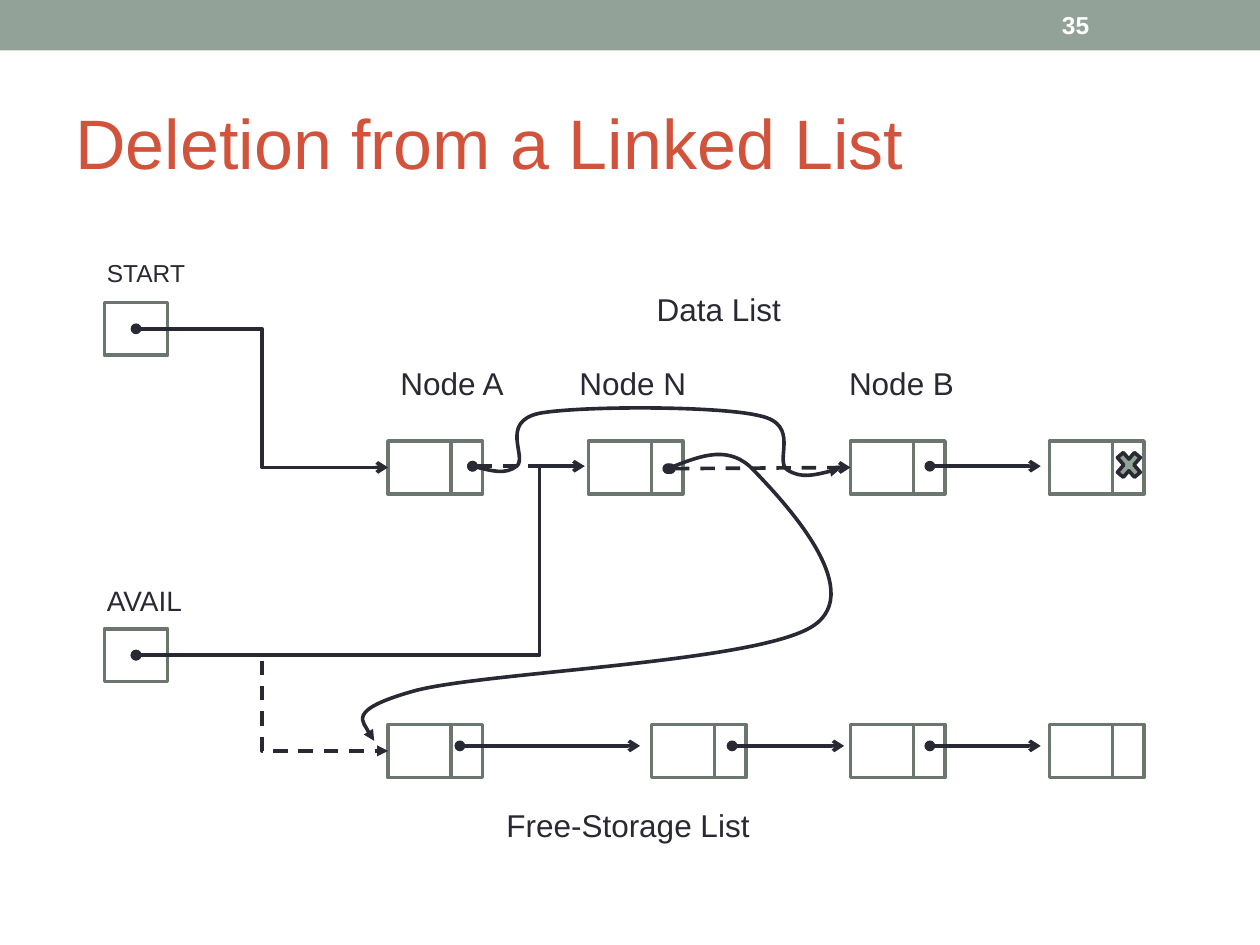
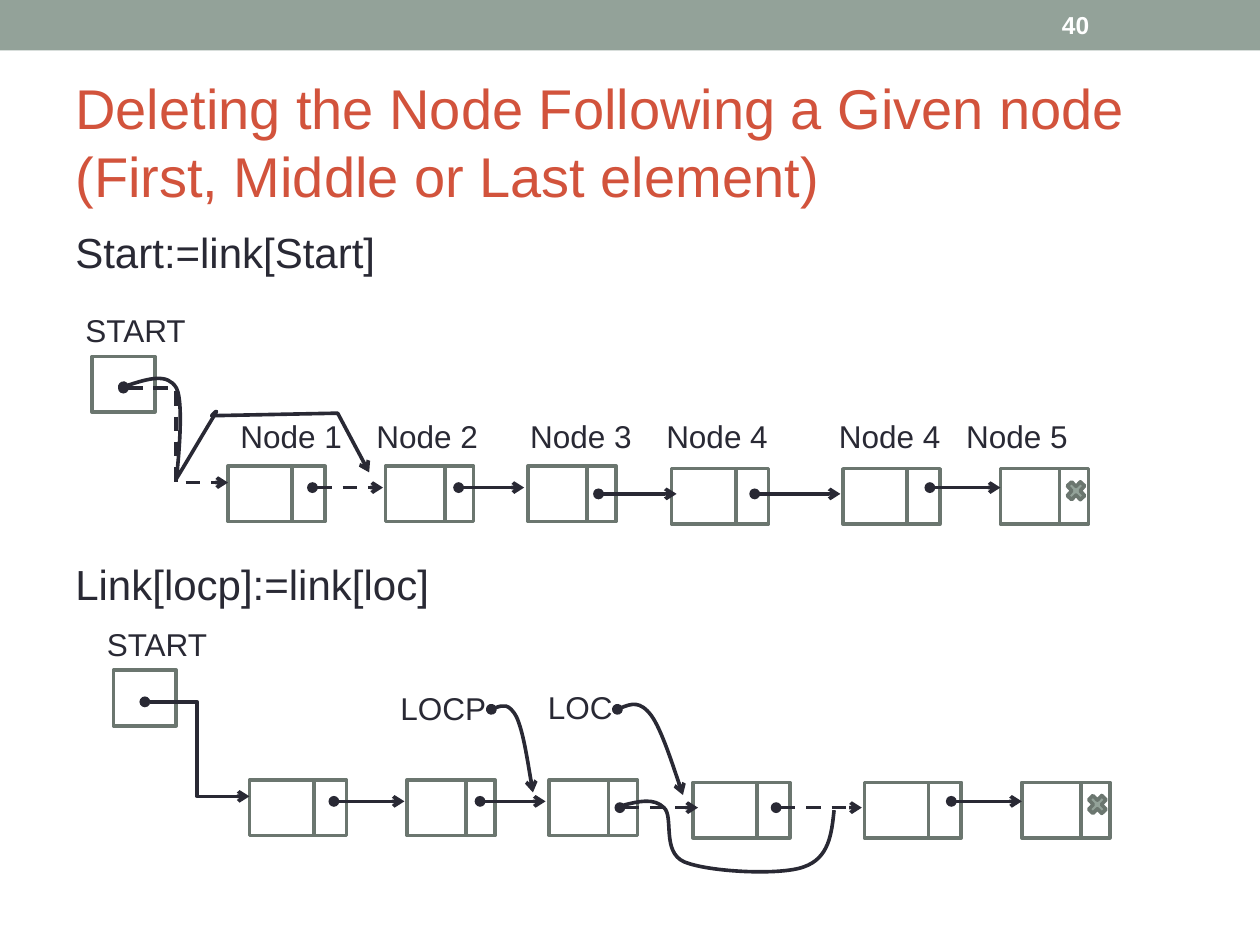
import itertools

import lxml.etree
import pptx
import pptx.dml.color
import pptx.enum.dml
import pptx.enum.shapes
import pptx.enum.text
import pptx.oxml.ns
import pptx.util

Inches = pptx.util.Inches
Pt = pptx.util.Pt
RGB = pptx.dml.color.RGBColor
SHAPE = pptx.enum.shapes.MSO_SHAPE
LINK = pptx.enum.shapes.MSO_CONNECTOR
ANCHOR = pptx.enum.text.MSO_ANCHOR
ALIGN = pptx.enum.text.PP_ALIGN
qn = pptx.oxml.ns.qn

SAGE = RGB(0x93, 0xA2, 0x99)
EDGE = RGB(0x6B, 0x76, 0x6F)
INK = RGB(0x29, 0x29, 0x34)
RUST = RGB(0xD2, 0x53, 0x3C)
WHITE = RGB(0xFF, 0xFF, 0xFF)
FONT = "Arial"
WEIGHT = Pt(2.07)


def stroke(shape, color, dash=False, head=None, tail=None):
    """Set the outline of a shape and its arrowheads."""
    shape.line.color.rgb = color
    shape.line.width = WEIGHT
    if dash:
        shape.line.dash_style = pptx.enum.dml.MSO_LINE.DASH
    ln = shape.element.spPr.get_or_add_ln()
    for tag, kind in (("a:headEnd", head), ("a:tailEnd", tail)):
        if kind:
            lxml.etree.SubElement(ln, qn(tag), type=kind)


def style(par, size, color, bold=False, tabs=()):
    """Give a paragraph its tab stops and its font."""
    if tabs:
        stops = lxml.etree.SubElement(par._p.get_or_add_pPr(), qn("a:tabLst"))
        for stop in tabs:
            lxml.etree.SubElement(stops, qn("a:tab"), pos=str(Inches(stop)), algn="l")
    for run in par.runs:
        run.font.name = FONT
        run.font.size = Pt(size)
        run.font.bold = bold
        run.font.color.rgb = color


class Area:
    """A box on a slide that places parts from its top left corner."""

    def __init__(self, slide, left=0, top=0):
        """Keep the slide and the corner."""
        self.shapes = slide.shapes
        self.left, self.top = left, top

    def spot(self, x, y):
        """Turn a place in the box into a place on the slide."""
        return Inches(self.left + x), Inches(self.top + y)

    def shape(self, kind, x, y, w, h, fill=None, edge=None):
        """Add a preset shape."""
        shape = self.shapes.add_shape(kind, *self.spot(x, y), Inches(w), Inches(h))
        shape.shadow.inherit = False
        if fill:
            shape.fill.solid()
            shape.fill.fore_color.rgb = fill
        else:
            shape.fill.background()
        if edge:
            stroke(shape, edge)
        else:
            shape.line.fill.background()
        return shape

    def cell(self, x, y, w, h):
        """Add an outlined rectangle."""
        return self.shape(SHAPE.RECTANGLE, x, y, w, h, edge=EDGE)

    def node(self, x, y, data, link, h):
        """Add a list node and return its data cell."""
        self.cell(x + data, y, link, h)
        return self.cell(x, y, data, h)

    def text(self, words, x, y, w, h, size, color=INK, bold=False, tabs=(), mid=False):
        """Add a text box and return its frame."""
        frame = self.shapes.add_textbox(*self.spot(x, y), Inches(w), Inches(h)).text_frame
        frame.word_wrap = True
        if mid:
            frame.vertical_anchor = ANCHOR.MIDDLE
        frame.text = words
        for par in frame.paragraphs:
            style(par, size, color, bold, tabs)
        return frame

    def arrow(self, start, end, dash=False, tail="arrow", bend=None, goal=None):
        """Add a straight or bent pointer, joined to the left of a goal."""
        kind = LINK.STRAIGHT if bend is None else LINK.ELBOW
        line = self.shapes.add_connector(kind, *self.spot(*start), *self.spot(*end))
        if goal is not None:
            line.end_connect(goal, 1)
        if bend is not None:
            guides = line.element.spPr.find(qn("a:prstGeom")).get_or_add_avLst()
            lxml.etree.SubElement(guides, qn("a:gd"), name="adj1",
                                  fmla=f"val {round(bend * 100000)}")
        stroke(line, INK, dash, "oval", tail)
        lxml.etree.SubElement(line.element.spPr, qn("a:effectLst"))

    def curve(self, points, kinds, head="oval", tail="arrow"):
        """Add an open path of curves (C, three points) and lines (L, one)."""
        first, *rest = [self.spot(*point) for point in points]
        build = self.shapes.build_freeform(*first)
        build.add_line_segments(rest, close=False)
        shape = build.convert_to_shape()
        shape.shadow.inherit = False
        shape.fill.background()
        path = shape.element.find(".//" + qn("a:path"))
        steps = iter(path.findall(qn("a:lnTo")))
        for kind in kinds:
            if kind == "L":
                path.append(next(steps))
                continue
            bow = lxml.etree.SubElement(path, qn("a:cubicBezTo"))
            for step in itertools.islice(steps, 3):
                bow.append(step[0])
                path.remove(step)
        stroke(shape, INK, head=head, tail=tail)


def frame(deck, title, size, number):
    """Add a slide with its band, title and number."""
    slide = deck.slides.add_slide(deck.slide_layouts[6])
    area = Area(slide)
    area.shape(SHAPE.RECTANGLE, 0, 0, 10, 0.4, fill=SAGE)
    area.text(title, 0.5, 0.58, 9, 1.08, size, RUST, mid=True)
    area.text(number, 8.33, 0.02, 1.17, 0.36, 14, WHITE, bold=True, mid=True)
    return slide


def root(area, name, size, drop):
    """Draw a named pointer cell."""
    area.text(name, 0, 0, 1, 0.37, size)
    area.cell(0.08, drop, 0.5, 0.42)


def row(area, lefts):
    """Draw a row of nodes and return their data cells."""
    return [area.node(x, 0, 0.5, 0.25, 0.42) for x in lefts]


def data_list(area):
    """Draw the data list with its labels."""
    cells = row(area, (0, 1.59, 3.67, 5.25))
    area.arrow((2.24, 0.22), (3.67, 0.21), dash=True, goal=cells[2])
    area.arrow((4.3, 0.2), (5.18, 0.2))
    area.arrow((0.67, 0.2), (1.56, 0.2), dash=True)
    area.shape(SHAPE.MATH_MULTIPLY, 5.75, 0.04, 0.26, 0.3, SAGE, INK)
    words = area.text("Data List\nNode A\tNode N\tNode B", 0, -1.25, 5.25, 1, 18,
                      tabs=(1.42, 3.56))
    words.paragraphs[0].alignment = ALIGN.CENTER
    words.paragraphs[1].space_before = Pt(21)


def free_list(area):
    """Draw the free-storage list with its label."""
    row(area, (0, 2.09, 3.67, 5.25))
    for start, end in ((0.57, 2), (2.73, 3.62), (4.3, 5.18)):
        area.arrow((start, 0.17), (end, 0.17))
    area.text("Free-Storage List", 0.84, 0.6, 2.88, 0.4, 18)


def moves(area):
    """Draw the pointers that run between the lists."""
    area.arrow((1.08, 2.61), (3.08, 3.71), bend=0.5)
    area.arrow((1.08, 5.2), (3.08, 5.96), dash=True, tail="triangle", bend=0.5)
    area.arrow((1.08, 5.2), (4.64, 3.7), tail="triangle", bend=0.9)
    area.curve(((5.3, 3.72), (5.55, 3.62), (5.79, 3.53), (5.98, 3.73),
                (6.18, 3.94), (6.9, 4.68), (6.45, 4.97),
                (6, 5.26), (3.88, 5.33), (3.3, 5.48),
                (2.72, 5.64), (2.97, 5.88), (2.97, 5.88)), "CCCC", tail="triangle")
    area.curve(((3.75, 3.7), (3.88, 3.73), (4.01, 3.77), (4.1, 3.7),
                (4.19, 3.63), (3.96, 3.35), (4.28, 3.28),
                (4.61, 3.22), (5.71, 3.22), (6.03, 3.3),
                (6.36, 3.37), (6.14, 3.66), (6.25, 3.73),
                (6.36, 3.8), (6.51, 3.76), (6.67, 3.72)), "CCCCC", tail="triangle")


def chain(area, dashed):
    """Draw a six-node list; the pointers numbered in dashed are broken."""
    area.text("START", 0, 0, 1.06, 0.4, 18)
    area.cell(0.15, 0.41, 0.5, 0.44)
    wide, slim = (0.51, 0.26), (0.47, 0.23)
    nodes = ((1.23, 1.28, wide), (2.48, 1.28, slim), (3.61, 1.28, slim),
             (4.75, 1.3, wide), (6.11, 1.3, wide), (7.36, 1.3, slim))
    for x, y, sizes in nodes:
        area.node(x, y, *sizes, 0.44)
    area.arrow((0.4, 0.66), (1.23, 1.41), 0 in dashed, bend=0.5)
    links = ((1.9, 2.46, 1.45), (3.06, 3.58, 1.45), (4.17, 4.79, 1.5),
             (5.41, 6.09, 1.5), (6.8, 7.36, 1.45))
    for index, (start, end, y) in enumerate(links, 1):
        area.arrow((start, y), (end, y), index in dashed)
    area.shape(SHAPE.MATH_MULTIPLY, 7.86, 1.37, 0.2, 0.21, SAGE, EDGE)


def first_case(area):
    """Draw the deletion of the first node."""
    chain(area, (0, 1))
    area.text("Node 1\tNode 2\tNode 3\tNode 4\tNode 4\tNode 5", 1.23, 0.84, 6.84, 0.4, 18,
              tabs=(1.08, 2.3, 3.38, 4.75, 5.76))
    area.curve(((0.4, 0.65), (0.58, 0.59), (0.75, 0.54), (0.82, 0.66),
                (0.89, 0.79), (0.82, 1.38), (0.82, 1.38),
                (0.87, 1.3), (1.07, 0.96), (1.12, 0.88),
                (1.17, 0.8), (1.1, 0.88), (1.1, 0.88),
                (2.1, 0.86), (2.35, 1.33)), "CCCCLL")


def later_case(area):
    """Draw the deletion of a node after another."""
    chain(area, (3, 4))
    area.text("LOCP", 2.33, 0.51, 1, 0.4, 18)
    area.text("LOC", 3.5, 0.5, 1, 0.4, 18)
    area.curve(((3.15, 0.72), (3.22, 0.69), (3.29, 0.67), (3.35, 0.78),
                (3.4, 0.89), (3.44, 1.14), (3.48, 1.38)), "CC")
    area.curve(((4.15, 0.72), (4.24, 0.68), (4.33, 0.65), (4.42, 0.77),
                (4.5, 0.88), (4.67, 1.4), (4.67, 1.4)), "CC")
    area.curve(((4.2, 1.48), (4.32, 1.45), (4.44, 1.42), (4.52, 1.5),
                (4.6, 1.57), (4.5, 1.85), (4.68, 1.93),
                (4.87, 2.01), (5.44, 2.04), (5.63, 1.97),
                (5.83, 1.9), (5.85, 1.71), (5.87, 1.52)), "CCCC", None, None)


def delete_slide(deck):
    """Build the slide on deletion in general."""
    slide = frame(deck, "Deletion from a Linked List", 40, "35")
    root(Area(slide, 0.75, 2), "START", 14, 0.4)
    root(Area(slide, 0.75, 4.58), "AVAIL", 16, 0.41)
    data_list(Area(slide, 3.08, 3.5))
    free_list(Area(slide, 3.08, 5.75))
    moves(Area(slide))


def follow_slide(deck):
    """Build the slide on deletion after a given node."""
    title = "Deleting the Node Following a Given node\v(First, Middle or Last element)"
    slide = frame(deck, title, 32, "40")
    body = Area(slide, 0.5, 1.75).text("Start:=link[Start]\nLink[locp]:=link[loc]",
                                       0, 0, 9, 5.33, 24)
    body.paragraphs[1].space_before = Pt(161)
    first_case(Area(slide, 0.58, 2.42))
    later_case(Area(slide, 0.75, 4.91))


def main():
    """Build and save the deck."""
    deck = pptx.Presentation()
    deck.slide_width, deck.slide_height = Inches(10), Inches(7.5)
    delete_slide(deck)
    follow_slide(deck)
    deck.save("out.pptx")


if __name__ == "__main__":
    main()
